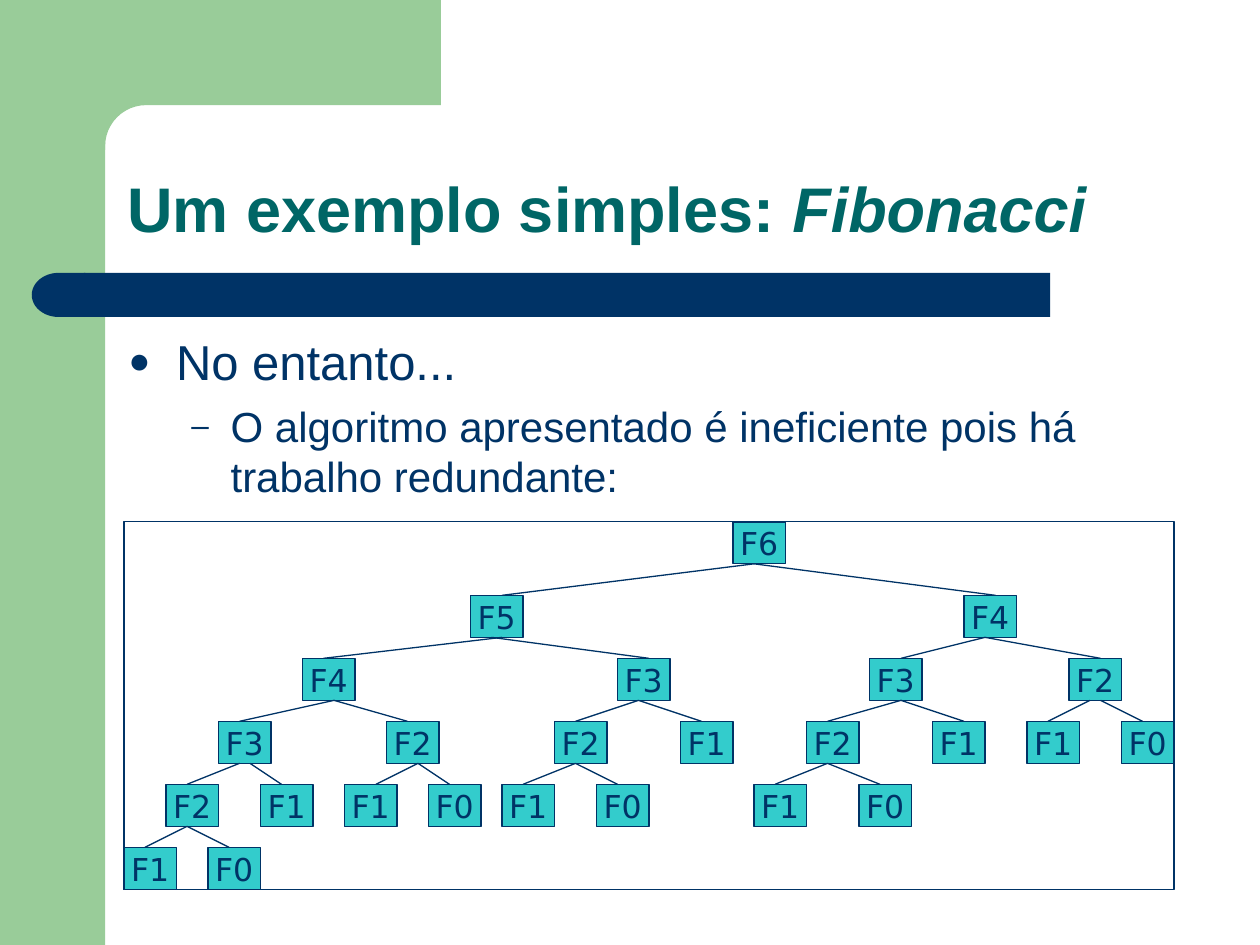
from dataclasses import dataclass
from math import cos, pi, sin
from typing import Any

from lxml import etree
from pptx import Presentation
from pptx.dml.color import RGBColor
from pptx.enum.shapes import MSO_CONNECTOR, MSO_SHAPE
from pptx.enum.text import MSO_ANCHOR, MSO_AUTO_SIZE, PP_ALIGN
from pptx.oxml.ns import qn
from pptx.util import Cm, Pt

RECTANGLE = MSO_SHAPE.RECTANGLE
ROUNDED = MSO_SHAPE.ROUNDED_RECTANGLE
DELAY = MSO_SHAPE.FLOWCHART_DELAY
STRAIGHT = MSO_CONNECTOR.STRAIGHT
LEFT, CENTER = PP_ALIGN.LEFT, PP_ALIGN.CENTER
BOTTOM, MIDDLE = MSO_ANCHOR.BOTTOM, MSO_ANCHOR.MIDDLE
NO_FIT = MSO_AUTO_SIZE.NONE

NAVY, GREEN, TEAL, CYAN, WHITE = "003366", "99CC99", "006666", "33CCCC", "FFFFFF"
LINE_WIDTH = Pt(0.75)

GRID = 2.54 / 12
TREE_LEFT, TREE_TOP = 2.5, 10.52
TREE_COLUMNS, TREE_ROWS = 100, 35
NODE_COLUMNS, NODE_ROWS = 5, 4
LEVEL_ROWS = (0, 7, 13, 19, 25, 31)

TITLE_FONT = {"name": "Arial", "size": Pt(36), "bold": True}
NODE_FONT = {"name": "DejaVu Sans", "size": Pt(18)}


@dataclass(frozen=True)
class Call:
    column: int
    entry: int = 2
    exits: tuple[int, int] = (2, 2)
    calls: tuple["Call", ...] = ()


@dataclass(frozen=True)
class Topic:
    text: str
    level: int
    bullet: str
    size: int
    before: int
    margin: float
    hanging: float


FIBONACCI_6 = Call(58, calls=(
    Call(33, 3, (3, 2), (
        Call(17, 2, (3, 3), (
            Call(9, 2, (2, 3), (
                Call(4, calls=(Call(0), Call(8))),
                Call(13),
            )),
            Call(25, 2, (3, 3), (Call(21, 3), Call(29))),
        )),
        Call(47, 3, (2, 2), (
            Call(41, calls=(Call(36), Call(45))),
            Call(53),
        )),
    )),
    Call(80, 3, (2, 2), (
        Call(71, 3, (3, 3), (
            Call(65, calls=(Call(60), Call(70))),
            Call(77, 3),
        )),
        Call(90, 3, (2, 3), (Call(86), Call(95))),
    )),
))

TOPICS = (
    Topic("No entanto...", 0, "●", 28, 7, 0.96, 0.96),
    Topic("O algoritmo apresentado é ineficiente pois há trabalho redundante:",
          1, "–", 24, 6, 2.06, 0.79),
)


def color(value: str) -> RGBColor:
    return RGBColor.from_string(value)


def apply(target: Any, values: dict[str, Any]) -> None:
    for name, value in values.items():
        setattr(target, name, value)


def add_run(paragraph: Any, text: str, font: dict[str, Any], tint: str) -> None:
    run = paragraph.add_run()
    run.text = text
    apply(run.font, font)
    run.font.color.rgb = color(tint)


def paint(shape: Any, fill: str, outline: str | None = None) -> None:
    shape.shadow.inherit = False
    shape.fill.solid()
    shape.fill.fore_color.rgb = color(fill)
    if outline is None:
        shape.line.fill.background()
    else:
        shape.line.color.rgb = color(outline)
        shape.line.width = LINE_WIDTH


def add_block(slide: Any, kind: Any, box: tuple[float, ...], fill: str,
              outline: str | None = None) -> Any:
    block = slide.shapes.add_shape(kind, *map(Cm, box))
    paint(block, fill, outline)
    return block


def add_corner(slide: Any, center: float, radius: float) -> None:
    arc = [(center - radius * sin(step * pi / 24), center - radius * cos(step * pi / 24))
           for step in range(13)]
    outline = [(8.89, 2.12), *arc, (2.11, 3.25), (1.27, 3.25), (1.27, 0)]
    builder = slide.shapes.build_freeform(Cm(8.89), 0)
    builder.add_line_segments([(Cm(x), Cm(y)) for x, y in outline], close=True)
    paint(builder.convert_to_shape(), GREEN)


def add_decoration(slide: Any) -> None:
    add_block(slide, RECTANGLE, (0, 0, 2.12, 19.05), GREEN)
    add_corner(slide, 2.95, 0.83)
    bar = add_block(slide, ROUNDED, (1.69, 5.5, 19.48, 0.89), NAVY)
    bar.adjustments[0] = 0
    cap = add_block(slide, DELAY, (0.64, 5.5, 1.08, 0.89), NAVY)
    cap.rotation = 180


def format_title(slide: Any) -> None:
    title = slide.shapes.title
    apply(title, {"left": Cm(2.31), "top": Cm(2.31), "width": Cm(21.62), "height": Cm(2.77)})
    apply(title.text_frame, {"vertical_anchor": BOTTOM, "word_wrap": True, "auto_size": NO_FIT})
    heading = title.text_frame.paragraphs[0]
    apply(heading, {"alignment": LEFT, "line_spacing": 0.9})
    add_run(heading, "Um exemplo simples: ", TITLE_FONT, TEAL)
    add_run(heading, "Fibonacci", {**TITLE_FONT, "italic": True}, TEAL)


def add_bullet(paragraph: Any, topic: Topic) -> None:
    properties = paragraph._p.get_or_add_pPr()
    properties.set("marL", str(Cm(topic.margin)))
    properties.set("indent", str(-Cm(topic.hanging)))
    tint = etree.SubElement(properties, qn("a:buClr"))
    etree.SubElement(tint, qn("a:srgbClr"), val=NAVY)
    etree.SubElement(properties, qn("a:buSzPct"), val="75000")
    etree.SubElement(properties, qn("a:buFont"), typeface="Arial")
    etree.SubElement(properties, qn("a:buChar"), char=topic.bullet)


def add_topics(slide: Any) -> None:
    frame = slide.shapes.add_textbox(Cm(2.34), Cm(6.55), Cm(21.36), Cm(3.76)).text_frame
    frame.word_wrap = True
    for index, topic in enumerate(TOPICS):
        paragraph = frame.add_paragraph() if index else frame.paragraphs[0]
        apply(paragraph, {"level": topic.level, "space_before": Pt(topic.before)})
        add_bullet(paragraph, topic)
        add_run(paragraph, topic.text, {"name": "Arial", "size": Pt(topic.size)}, NAVY)


def tree_box(column: int, row: int, columns: int, rows: int) -> tuple[float, ...]:
    return (TREE_LEFT + column * GRID, TREE_TOP + row * GRID, columns * GRID, rows * GRID)


def add_branch(slide: Any, start: tuple[int, int], end: tuple[int, int]) -> None:
    points = [Cm(origin + place * GRID) for point in (start, end)
              for origin, place in zip((TREE_LEFT, TREE_TOP), point)]
    branch = slide.shapes.add_connector(STRAIGHT, *points)
    branch.line.color.rgb = color(NAVY)
    branch.line.width = LINE_WIDTH
    etree.SubElement(branch._element.spPr, qn("a:effectLst"))


def add_call(slide: Any, call: Call, number: int, level: int = 0) -> None:
    row = LEVEL_ROWS[level]
    node = add_block(slide, RECTANGLE, tree_box(call.column, row, NODE_COLUMNS, NODE_ROWS),
                     CYAN, NAVY)
    apply(node.text_frame, {"word_wrap": False, "vertical_anchor": MIDDLE})
    label = node.text_frame.paragraphs[0]
    label.alignment = CENTER
    add_run(label, f"F{number}", NODE_FONT, NAVY)
    for step, (port, child) in enumerate(zip(call.exits, call.calls), start=1):
        add_branch(slide, (call.column + port, row + NODE_ROWS),
                   (child.column + child.entry, LEVEL_ROWS[level + 1]))
        add_call(slide, child, number - step, level + 1)


def main() -> None:
    deck = Presentation()
    apply(deck, {"slide_width": Cm(25.4), "slide_height": Cm(19.05)})
    slide = deck.slides.add_slide(deck.slide_layouts[5])
    add_decoration(slide)
    format_title(slide)
    add_topics(slide)
    add_block(slide, RECTANGLE, tree_box(0, 0, TREE_COLUMNS, TREE_ROWS), WHITE, NAVY)
    add_call(slide, FIBONACCI_6, 6)
    deck.save("out.pptx")


if __name__ == "__main__":
    main()
